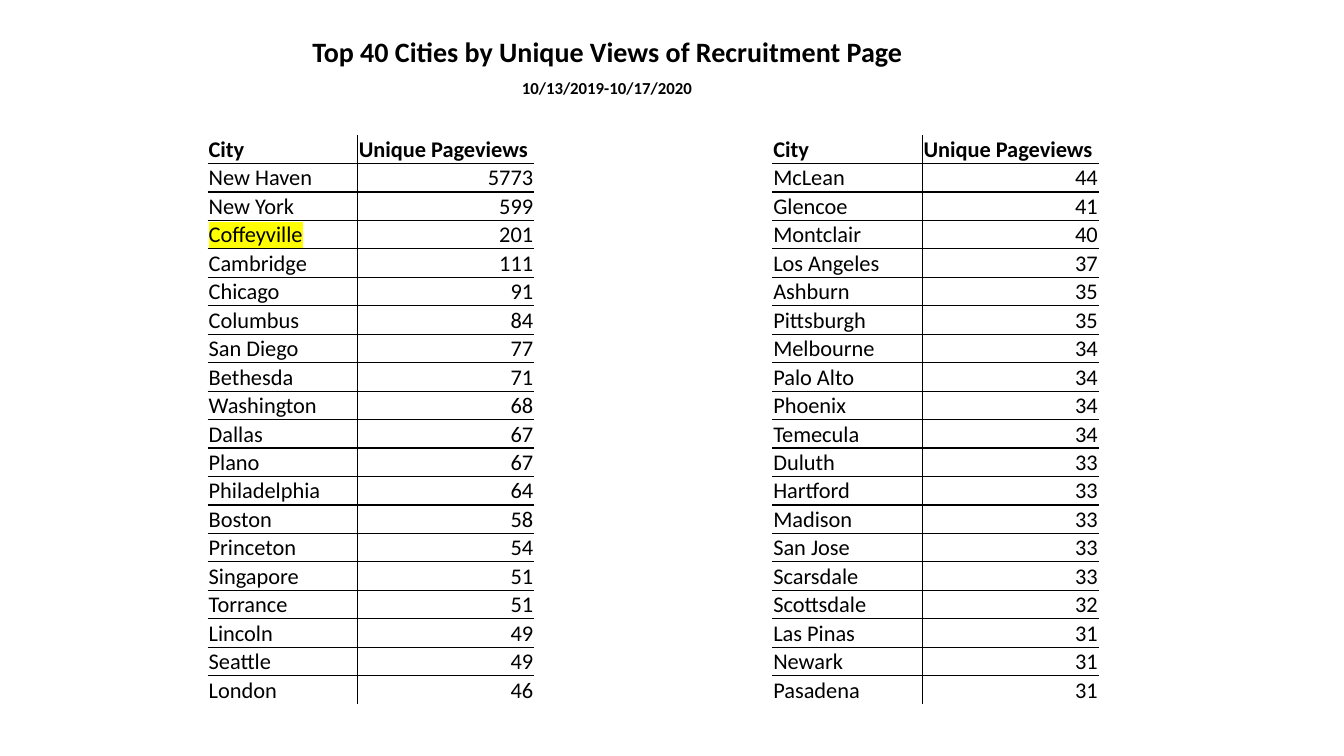
"""Build a slide with two tables of cities ranked by unique page views."""
import dataclasses
import typing

import pptx
import pptx.dml.color
import pptx.enum.text
import pptx.oxml
import pptx.oxml.ns
import pptx.util

BLACK = pptx.dml.color.RGBColor(0x00, 0x00, 0x00)
YELLOW = pptx.dml.color.RGBColor(0xFF, 0xFF, 0x00)
WIDE = pptx.util.Inches(13.33)
HIGH = pptx.util.Inches(7.5)
COL = WIDE / 100
ROW = HIGH / 100
TOP = 17.87
TALL = 73.87
SPANS = (11.18, 13.12)
HEADS = ("City", "Unique Pageviews")
MARKED = "Coffeyville"
PLAIN = "{2D5ABB26-0587-4C30-8999-92F81FD0307C}"
NS = pptx.oxml.ns.nsdecls("a")
ALIGN = pptx.enum.text.PP_ALIGN
ANCHOR = pptx.enum.text.MSO_ANCHOR
PAD = pptx.util.Pt(0.75)
CELL = {"margin_left": PAD, "margin_top": PAD, "margin_right": PAD,
        "margin_bottom": 0, "vertical_anchor": ANCHOR.BOTTOM}
FRAME = {"word_wrap": True, "vertical_anchor": ANCHOR.TOP,
         "auto_size": pptx.enum.text.MSO_AUTO_SIZE.NONE}


@dataclasses.dataclass
class Heading:
    """A centred line of text with its place on the grid."""
    text: str
    left: float
    top: float
    width: float
    height: float
    size: int


@dataclasses.dataclass
class Ranking:
    """A table of cities with its left edge on the grid."""
    left: float
    views: dict[str, int]


HEADINGS = (
    Heading("Top 40 Cities by Unique Views of Recruitment Page",
            22.2, 3.87, 45.99, 5.87, 20),
    Heading("10/13/2019-10/17/2020", 25.43, 9.6, 39.46, 4, 12),
)
RANKINGS = (
    Ranking(15.45, {
        "New Haven": 5773, "New York": 599, "Coffeyville": 201,
        "Cambridge": 111, "Chicago": 91, "Columbus": 84, "San Diego": 77,
        "Bethesda": 71, "Washington": 68, "Dallas": 67, "Plano": 67,
        "Philadelphia": 64, "Boston": 58, "Princeton": 54, "Singapore": 51,
        "Torrance": 51, "Lincoln": 49, "Seattle": 49, "London": 46}),
    Ranking(57.46, {
        "McLean": 44, "Glencoe": 41, "Montclair": 40, "Los Angeles": 37,
        "Ashburn": 35, "Pittsburgh": 35, "Melbourne": 34, "Palo Alto": 34,
        "Phoenix": 34, "Temecula": 34, "Duluth": 33, "Hartford": 33,
        "Madison": 33, "San Jose": 33, "Scarsdale": 33, "Scottsdale": 32,
        "Las Pinas": 31, "Newark": 31, "Pasadena": 31}),
)


def apply(item: typing.Any, values: dict[str, typing.Any]) -> None:
    """Set each named value on the item."""
    for name, value in values.items():
        setattr(item, name, value)


def write(line: typing.Any, text: str, size: int, bold: bool,
          align: typing.Any) -> typing.Any:
    """Fill a paragraph with one styled run and return the run."""
    apply(line, {"alignment": align, "line_spacing": 1.0,
                 "space_before": pptx.util.Pt(0)})
    run = line.add_run()
    run.text = text
    apply(run.font, {"name": "Calibri", "size": pptx.util.Pt(size),
                     "bold": bold})
    run.font.color.rgb = BLACK
    return run


def place(shape: typing.Any, head: Heading) -> None:
    """Move a placeholder to its place and write its heading."""
    apply(shape, {"left": round(head.left * COL), "top": round(head.top * ROW),
                  "width": round(head.width * COL),
                  "height": round(head.height * ROW)})
    apply(shape.text_frame, FRAME)
    write(shape.text_frame.paragraphs[0], head.text, head.size, True,
          ALIGN.CENTER)


def mark(run: typing.Any) -> None:
    """Give a run a yellow highlight."""
    fill = run.font._element.find(pptx.oxml.ns.qn("a:solidFill"))
    fill.addnext(pptx.oxml.parse_xml(
        f'<a:highlight {NS}><a:srgbClr val="{YELLOW}"/></a:highlight>'))


def rule(cell: typing.Any, sides: str) -> None:
    """Draw thin black borders on the named sides of a cell."""
    props = cell._tc.get_or_add_tcPr()
    for spot, side in enumerate(sides):
        props.insert(spot, pptx.oxml.parse_xml(
            f'<a:ln{side} {NS} w="{pptx.util.Pt(1)}"><a:solidFill>'
            f'<a:srgbClr val="{BLACK}"/></a:solidFill></a:ln{side}>'))


def draw(slide: typing.Any, rank: Ranking) -> None:
    """Add a ranking to the slide as a ruled table."""
    lines = [HEADS, *((city, str(count)) for city, count in rank.views.items())]
    table = slide.shapes.add_table(
        len(lines), len(SPANS), round(rank.left * COL), round(TOP * ROW),
        round(sum(SPANS) * COL), round(TALL * ROW)).table
    apply(table, {"first_row": False, "horz_banding": False})
    table._tbl.tblPr.find(pptx.oxml.ns.qn("a:tableStyleId")).text = PLAIN
    for column, span in zip(table.columns, SPANS):
        column.width = round(span * COL)
    last = len(lines) - 1
    for row, line in enumerate(lines):
        for col, text in enumerate(line):
            cell = table.cell(row, col)
            apply(cell, CELL)
            cell.fill.background()
            rule(cell, "RL"[col] + "T" * (row > 0) + "B" * (row < last))
            right = row > 0 and col == 1
            run = write(cell.text_frame.paragraphs[0], text, 16, row == 0,
                        ALIGN.RIGHT if right else ALIGN.LEFT)
            if text == MARKED:
                mark(run)


def main() -> None:
    """Build the deck and save it."""
    deck = pptx.Presentation()
    apply(deck, {"slide_width": WIDE, "slide_height": HIGH})
    slide = deck.slides.add_slide(deck.slide_layouts[0])
    for shape, head in zip(slide.placeholders, HEADINGS):
        place(shape, head)
    for rank in RANKINGS:
        draw(slide, rank)
    deck.save("out.pptx")


if __name__ == "__main__":
    main()
